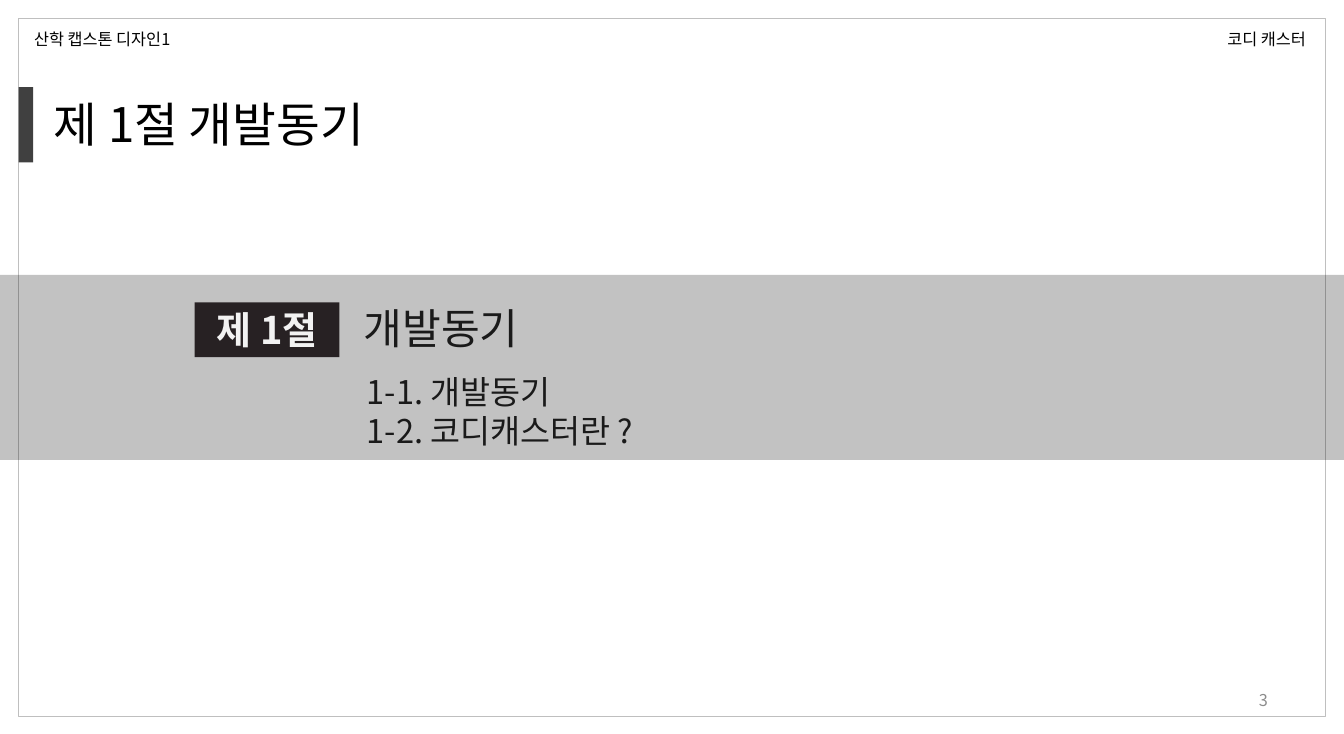
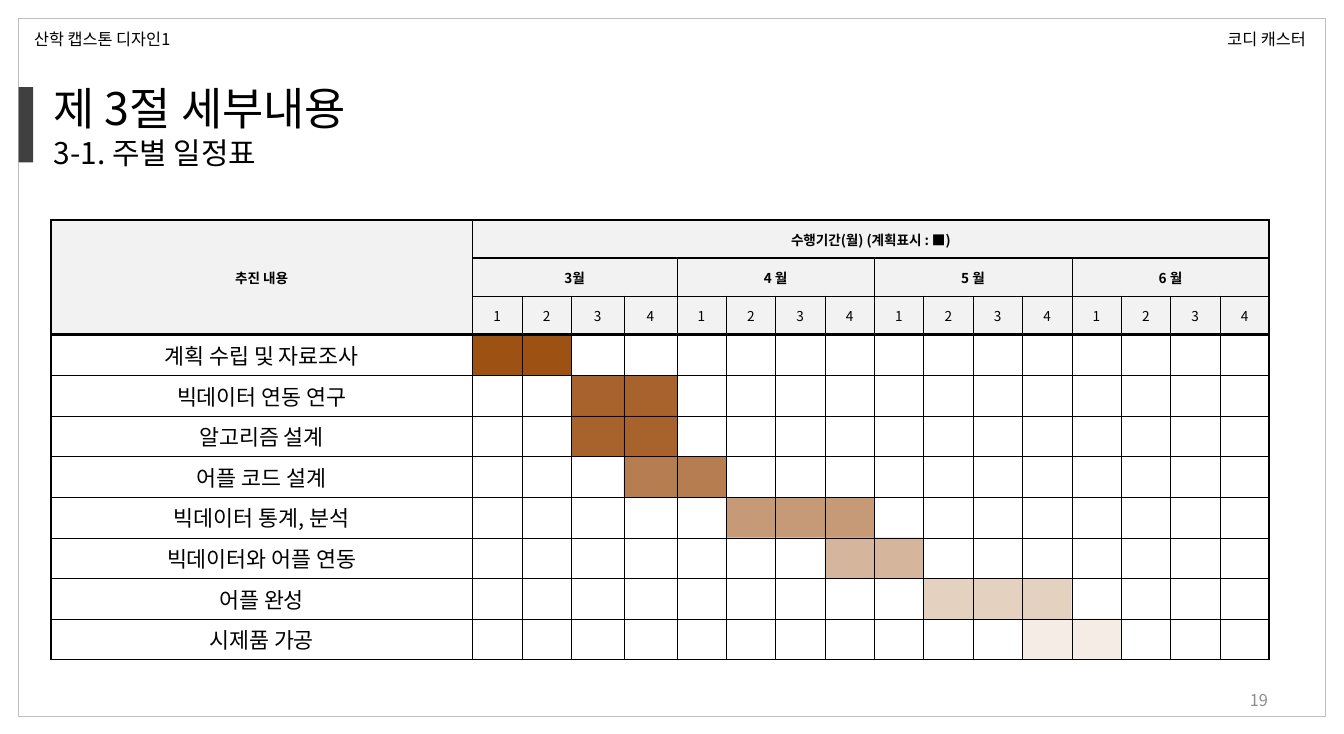
from lxml.etree import SubElement
from pptx import Presentation
from pptx.dml.color import RGBColor
from pptx.enum.shapes import MSO_SHAPE
from pptx.enum.text import MSO_ANCHOR, PP_ALIGN
from pptx.oxml.ns import qn
from pptx.util import Inches, Pt

FONT = "Noto Sans CJK KR"
WIDTH, HEIGHT = 13.74, 7.5
COLORS = {
    "text": "000000", "band_text": "1A1A1A", "tag_text": "F2F2F2", "number": "8C8C8C",
    "frame": "BFBFBF", "marker": "404040", "tag": "272123", "band": "000000",
    "head": "F2F2F2", "empty": "FFFFFF", "task": "984807", "grid": "000000",
}
THIN, MEDIUM, THICK = 0.28, 1.41, 1.98
HEAD_ROWS, WEEKS = 3, 4
MONTHS = ["3월", "4 월", "5 월", "6 월"]
TASKS = [
    ("계획 수립 및 자료조사", 1, 2, 95),
    ("빅데이터 연동 연구", 3, 4, 85),
    ("알고리즘 설계", 3, 4, 85),
    ("어플 코드 설계", 4, 5, 70),
    ("빅데이터 통계, 분석", 6, 8, 55),
    ("빅데이터와 어플 연동", 8, 9, 40),
    ("어플 완성", 10, 12, 25),
    ("시제품 가공", 12, 13, 10),
]


def rgb(name):
    """Return the named colour."""
    return RGBColor.from_string(COLORS[name])


def paint(fill, name, opacity=100):
    """Fill with a named colour at a percentage of opacity."""
    fill.solid()
    fill.fore_color.rgb = rgb(name)
    if opacity < 100:
        color = fill._xPr.find(qn("a:solidFill"))[0]
        SubElement(color, qn("a:alpha"), val=str(opacity * 1000))


def add_run(p, text, size, color="text", bold=False):
    """Add one run in the deck font."""
    r = p.add_run()
    r.text = text
    r.font.name, r.font.size, r.font.bold = FONT, Pt(size), bold
    r.font.color.rgb = rgb(color)
    SubElement(r._r.get_or_add_rPr(), qn("a:ea"), typeface=FONT)


def add_rect(s, box, fill=None, line=None, opacity=100):
    """Add a flat rectangle."""
    sp = s.shapes.add_shape(MSO_SHAPE.RECTANGLE, *map(Inches, box))
    sp.shadow.inherit = False
    if fill:
        paint(sp.fill, fill, opacity)
    else:
        sp.fill.background()
    if line:
        sp.line.color.rgb, sp.line.width = rgb(line), Pt(1)
    else:
        sp.line.fill.background()


def add_text(s, box, lines, color="text", align=PP_ALIGN.LEFT, anchor=MSO_ANCHOR.TOP,
             bold=False, inset=0.1):
    """Add a text box with one paragraph per (text, size) pair."""
    tf = s.shapes.add_textbox(*map(Inches, box)).text_frame
    tf.word_wrap, tf.vertical_anchor = True, anchor
    tf.margin_left = tf.margin_right = Inches(inset)
    for i, (text, size) in enumerate(lines):
        p = tf.add_paragraph() if i else tf.paragraphs[0]
        p.alignment = align
        add_run(p, text, size, color, bold)


def add_base(prs, title, title_box, number):
    """Add a slide with the shared frame, headers, marker, title and number."""
    s = prs.slides.add_slide(prs.slide_layouts[6])
    add_rect(s, (0.19, 0.19, 13.36, 7.13), line="frame")
    add_rect(s, (0.19, 0.89, 0.15, 0.77), "marker")
    add_text(s, title_box, title)
    add_text(s, (0.25, 0.25, 2.2, 0.3), [("산학 캡스톤 디자인1", 12)])
    add_text(s, (12.45, 0.25, 1.23, 0.3), [("코디 캐스터", 12)])
    add_text(s, (9.85, 6.95, 3.21, 0.4), [(number, 12)], "number",
             PP_ALIGN.RIGHT, MSO_ANCHOR.MIDDLE)
    return s


def add_section_band(s, box, tag, heading, items):
    """Add the translucent band with its tag, heading and list."""
    x, y = box[:2]
    add_rect(s, box, "band", opacity=24)
    add_text(s, (x + 3.62, y + 0.23, 4.53, 0.62), [(heading, 31)], "band_text")
    add_text(s, (x + 3.65, y + 0.94, 6.45, 0.9), [(t, 24) for t in items], "band_text")
    add_rect(s, (x + 1.99, y + 0.28, 1.48, 0.56), "tag")
    add_text(s, (x + 2, y + 0.27, 1.46, 0.56), [(tag, 28)], "tag_text",
             PP_ALIGN.CENTER, bold=True, inset=0.05)


def set_borders(cell, widths):
    """Draw the left, right, top and bottom borders of a cell."""
    tc_pr = cell._tc.get_or_add_tcPr()
    for side, width in zip("LRTB", widths):
        ln = SubElement(tc_pr, qn(f"a:ln{side}"), w=str(Pt(width)))
        fill = SubElement(ln, qn("a:solidFill"))
        SubElement(fill, qn("a:srgbClr"), val=COLORS["grid"])


def fill_cells(table, row, col, text="", size=10, bold=False, fill="empty",
               opacity=100, rows=1, cols=1):
    """Merge, border, fill and label a block of cells."""
    last_row, last_col = len(table.rows), len(table.columns)
    across = {0: MEDIUM, 1: MEDIUM, 2: MEDIUM, HEAD_ROWS: THICK, last_row: MEDIUM}
    down = {0: MEDIUM, last_col: MEDIUM}
    widths = [down.get(i, THIN) for i in (col, col + cols)]
    widths += [across.get(i, THIN) for i in (row, row + rows)]
    cell = table.cell(row, col)
    if rows * cols > 1:
        cell.merge(table.cell(row + rows - 1, col + cols - 1))
    for r in range(row, row + rows):
        for c in range(col, col + cols):
            part = table.cell(r, c)
            set_borders(part, widths)
            paint(part.fill, fill, opacity)
    cell.vertical_anchor = MSO_ANCHOR.MIDDLE
    cell.margin_left = cell.margin_right = Inches(0.02)
    cell.margin_top = cell.margin_bottom = Inches(0.02)
    p = cell.text_frame.paragraphs[0]
    p.alignment = PP_ALIGN.CENTER
    if text:
        add_run(p, text, size, bold=bold)
    else:
        SubElement(p._p, qn("a:endParaRPr"), sz=str(size * 100))


def add_schedule(s, box):
    """Add the weekly schedule table within its box."""
    weeks = len(MONTHS) * WEEKS
    rows = HEAD_ROWS + len(TASKS)
    table = s.shapes.add_table(rows, weeks + 1, *map(Inches, box)).table
    table.first_row = table.horz_banding = False
    label, wide, head = 4.31, 0.54, 0.39
    week = (box[2] - label - 2 * wide) / (weeks - 2)
    for i, column in enumerate(table.columns):
        column.width = Inches(label if i == 0 else wide if i in (3, 4) else week)
    body = (box[3] - HEAD_ROWS * head) / len(TASKS)
    for i, row in enumerate(table.rows):
        row.height = Inches(head if i < HEAD_ROWS else body)

    fill_cells(table, 0, 0, "추진 내용", bold=True, fill="head", rows=HEAD_ROWS)
    fill_cells(table, 0, 1, "수행기간(월) (계획표시 : ■)", bold=True, fill="head", cols=weeks)
    for i, month in enumerate(MONTHS):
        fill_cells(table, 1, 1 + i * WEEKS, month, bold=True, fill="head", cols=WEEKS)
    for i in range(weeks):
        fill_cells(table, 2, i + 1, str(i % WEEKS + 1), fill="head")
    for row, (task, start, end, opacity) in enumerate(TASKS, HEAD_ROWS):
        fill_cells(table, row, 0, task, 16)
        for col in range(1, weeks + 1):
            if start <= col <= end:
                fill_cells(table, row, col, fill="task", opacity=opacity)
            else:
                fill_cells(table, row, col)


def main():
    """Build and save the deck."""
    prs = Presentation()
    prs.slide_width, prs.slide_height = Inches(WIDTH), Inches(HEIGHT)
    s = add_base(prs, [("제 1절 개발동기", 35)], (0.45, 0.92, 7.59, 0.67), "3")
    add_section_band(s, (0, 2.81, WIDTH, 1.89), "제 1절", "개발동기",
                     ["1-1. 개발동기", "1-2. 코디캐스터란 ?"])
    s = add_base(prs, [("제 3절 세부내용", 33), ("3-1. 주별 일정표", 22)],
                 (0.45, 0.78, 7.59, 1.01), "19")
    add_schedule(s, (0.52, 2.25, 12.46, 4.49))
    prs.save("out.pptx")


if __name__ == "__main__":
    main()
